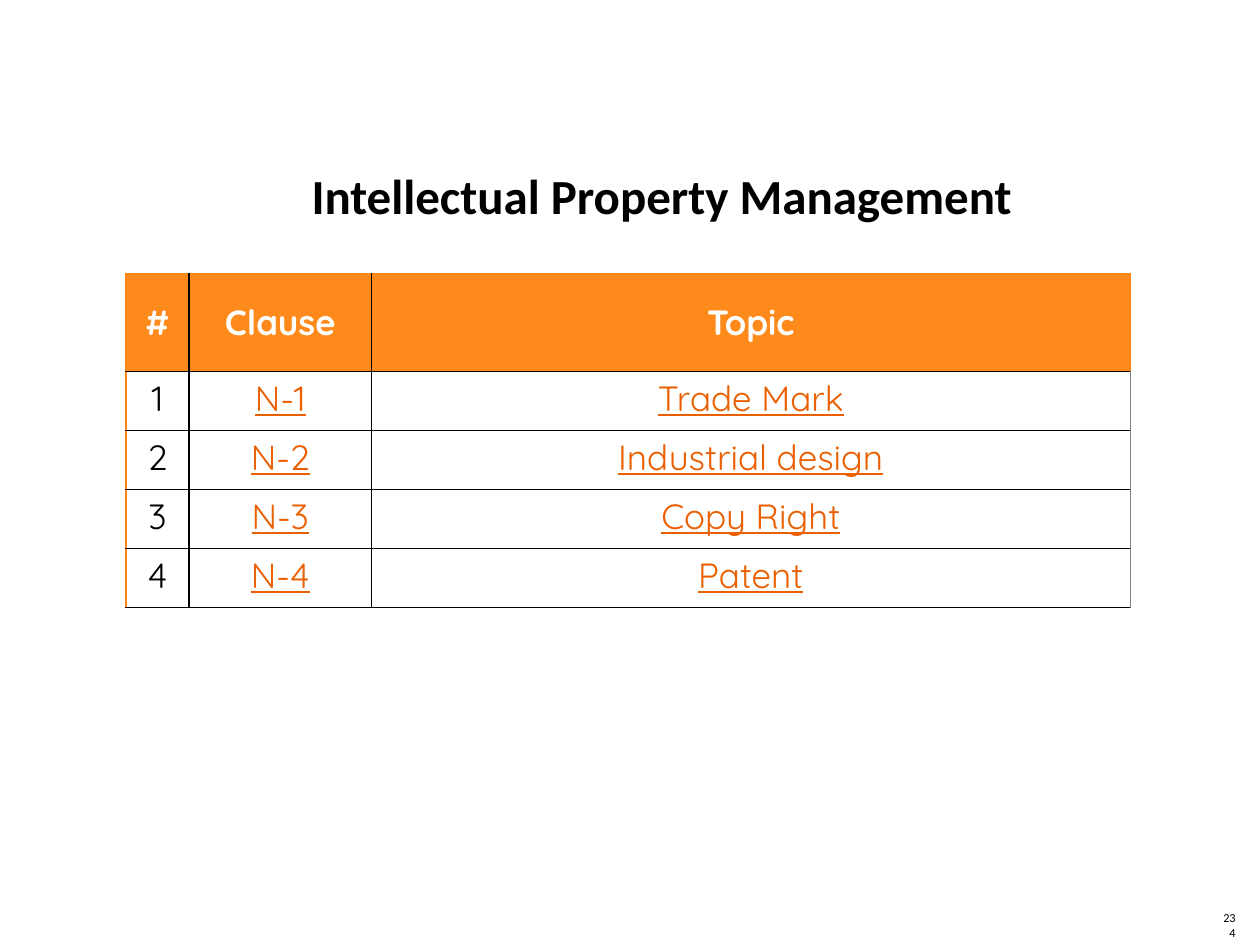
from lxml.etree import SubElement
from pptx import Presentation
from pptx.dml.color import RGBColor
from pptx.enum.text import MSO_ANCHOR, MSO_AUTO_SIZE, PP_ALIGN
from pptx.oxml.ns import qn
from pptx.util import Cm, Pt

COLORS = {
    "white": "FFFFFF",
    "black": "000000",
    "header": "FF8A1C",
    "edge": "FF8615",
    "right_edge": "808080",
    "topic": "EA5F00",
}
HEADINGS = ["#", "Clause", "Topic"]
TOPICS = ["Trade Mark", "Industrial design", "Copy Right", "Patent"]
COLUMN_WIDTHS = [1.27, 3.68, 15.29]
HEADER_HEIGHT, ROW_HEIGHT = 1.98, 1.19


def color(name):
    return RGBColor.from_string(COLORS[name])


def format_text(frame, font, size, tint, align, bold=False, underline=False):
    para = frame.paragraphs[0]
    para.alignment = align
    for span in para.runs:
        span.font.name = font
        span.font.size = Pt(size)
        span.font.bold = bold
        span.font.underline = underline
        span.font.color.rgb = color(tint)


def prepare_frame(frame):
    frame.margin_left = frame.margin_right = 0
    frame.margin_top = frame.margin_bottom = 0
    frame.vertical_anchor = MSO_ANCHOR.BOTTOM
    frame.auto_size = MSO_AUTO_SIZE.NONE
    frame.word_wrap = True


def add_border(cell, side, tint, width):
    line = SubElement(cell._tc.get_or_add_tcPr(), qn(f"a:ln{side}"), w=str(Pt(width)))
    fill = SubElement(line, qn("a:solidFill"))
    SubElement(fill, qn("a:srgbClr"), val=COLORS[tint])


def format_cell(cell, row, column):
    is_header = row == 0
    cell.margin_left = cell.margin_right = Cm(0.18)
    cell.margin_top = cell.margin_bottom = Cm(0.1)
    cell.vertical_anchor = MSO_ANCHOR.MIDDLE if is_header else MSO_ANCHOR.TOP

    # Orange outer edges, black inner rules
    borders = {side: ("black", 1) for side in "LRTB"}
    if column == 0:
        borders["L"] = ("edge", 0.75)
    if column == len(HEADINGS) - 1:
        borders["R"] = ("edge", 0.75) if is_header else ("right_edge", 0.5)
    if is_header:
        borders["T"] = ("edge", 0.75)
    for side, (tint, width) in borders.items():
        add_border(cell, side, tint, width)

    cell.fill.solid()
    cell.fill.fore_color.rgb = color("header" if is_header else "white")
    tint = "white" if is_header else "topic" if column else "black"
    format_text(cell.text_frame, "Quicksand", 20, tint, PP_ALIGN.CENTER,
                bold=is_header, underline=not is_header and column > 0)


def place_title(page, left, top, width, height):
    title = page.shapes.title
    title.left, title.top, title.width, title.height = left, top, width, height
    title.fill.solid()
    title.fill.fore_color.rgb = color("white")
    frame = title.text_frame
    frame.text = "Intellectual Property Management"
    prepare_frame(frame)
    format_text(frame, "Calibri", 28, "black", PP_ALIGN.CENTER, bold=True)


def place_clause_table(page, left, top):
    rows = [HEADINGS]
    rows += [[str(n), f"N-{n}", topic] for n, topic in enumerate(TOPICS, 1)]
    height = HEADER_HEIGHT + ROW_HEIGHT * len(TOPICS)
    table = page.shapes.add_table(len(rows), len(HEADINGS), left, top,
                                  Cm(sum(COLUMN_WIDTHS)), Cm(height)).table
    table.horz_banding = False
    for column, width in zip(table.columns, COLUMN_WIDTHS):
        column.width = Cm(width)
    for r, texts in enumerate(rows):
        table.rows[r].height = Cm(ROW_HEIGHT if r else HEADER_HEIGHT)
        for c, text in enumerate(texts):
            cell = table.cell(r, c)
            cell.text = text
            format_cell(cell, r, c)


def place_page_number(page, left, top, width, height):
    box = page.shapes.add_textbox(left, top, width, height)
    box.text_frame.text = "234"
    prepare_frame(box.text_frame)
    format_text(box.text_frame, "Calibri", 7, "black", PP_ALIGN.RIGHT)


def main():
    deck = Presentation()
    deck.slide_width, deck.slide_height = Cm(25.4), Cm(19.05)
    page = deck.slides.add_slide(deck.slide_layouts[5])
    page.background.fill.solid()
    page.background.fill.fore_color.rgb = color("white")

    place_title(page, Cm(5.51), Cm(3.33), Cm(15.65), Cm(1.19))
    place_clause_table(page, Cm(2.54), Cm(5.51))
    place_page_number(page, Cm(24.61), Cm(18.64), Cm(0.3), Cm(0.3))

    deck.save("out.pptx")


if __name__ == "__main__":
    main()
